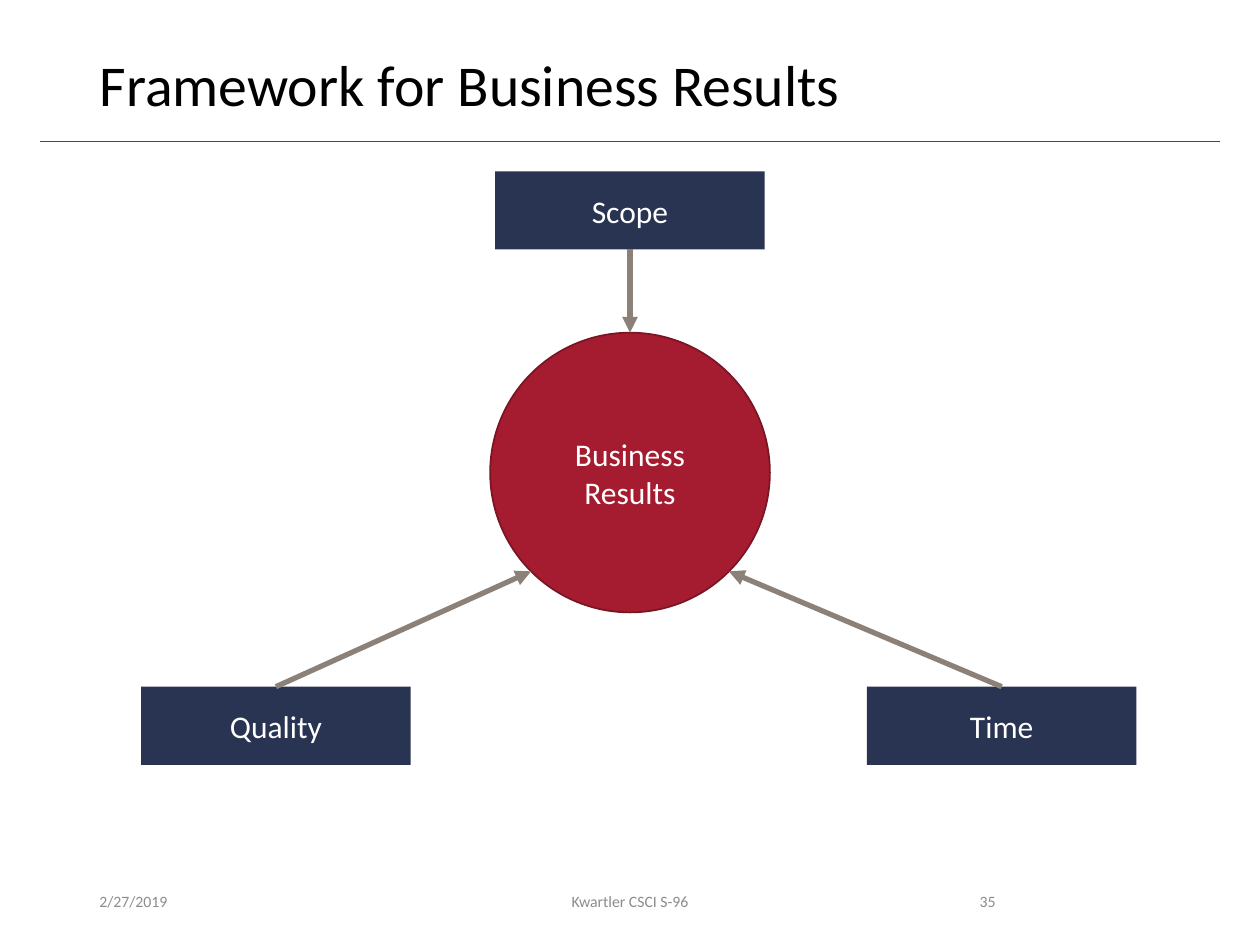
import math

from lxml import etree
from pptx import Presentation
from pptx.dml.color import RGBColor
from pptx.enum.shapes import MSO_CONNECTOR, MSO_SHAPE
from pptx.enum.text import MSO_ANCHOR, MSO_AUTO_SIZE, PP_ALIGN
from pptx.oxml.ns import qn
from pptx.util import Inches, Pt

RECT, OVAL = MSO_SHAPE.RECTANGLE, MSO_SHAPE.OVAL
STRAIGHT = MSO_CONNECTOR.STRAIGHT
TOP, MIDDLE = MSO_ANCHOR.TOP, MSO_ANCHOR.MIDDLE
LEFT, CENTER, RIGHT = PP_ALIGN.LEFT, PP_ALIGN.CENTER, PP_ALIGN.RIGHT
NO_FIT = MSO_AUTO_SIZE.NONE

CRIMSON = RGBColor(0xA5, 0x1C, 0x30)
DARK_CRIMSON = RGBColor(0x7A, 0x15, 0x24)
NAVY = RGBColor(0x29, 0x33, 0x52)
TAUPE = RGBColor(0x8C, 0x81, 0x79)
GREY = RGBColor(0x8C, 0x8C, 0x8C)
BLACK = RGBColor(0x00, 0x00, 0x00)
WHITE = RGBColor(0xFF, 0xFF, 0xFF)

W, H = 10, 7.5
MID = W / 2
MARGIN = 0.69
BOX_W, BOX_H = 2.14, 0.62
HUB_Y, HUB_R = 3.75, 1.11
FOOT_Y, FOOT_H = 6.95, 0.4

TITLE_FONT = {"name": "Calibri", "size": Pt(33)}
LABEL_FONT = {"name": "Calibri", "size": Pt(18)}
FOOT_FONT = {"name": "Calibri", "size": Pt(9)}


def write(sp, text, fmt, color, align, anchor):
    tf = sp.text_frame
    tf.word_wrap = True
    tf.auto_size = NO_FIT
    tf.vertical_anchor = anchor
    p = tf.paragraphs[0]
    p.alignment = align
    r = p.add_run()
    r.text = text
    for key, value in fmt.items():
        setattr(r.font, key, value)
    r.font.color.rgb = color
    return p


def add_title(s, text):
    sp = s.shapes.title
    sp.left, sp.top = Inches(MARGIN), Inches(0.4)
    sp.width, sp.height = Inches(W - 2 * MARGIN), Inches(0.65)
    write(sp, text, TITLE_FONT, BLACK, LEFT, TOP).line_spacing = 0.9


def add_footer(s, text, x, w, align):
    sp = s.shapes.add_textbox(Inches(x), Inches(FOOT_Y), Inches(w), Inches(FOOT_H))
    write(sp, text, FOOT_FONT, GREY, align, MIDDLE)


def add_node(s, kind, text, cx, y, w, h, fill, outline=None):
    sp = s.shapes.add_shape(kind, Inches(cx - w / 2), Inches(y), Inches(w), Inches(h))
    sp.shadow.inherit = False
    sp.fill.solid()
    sp.fill.fore_color.rgb = fill
    if outline:
        sp.line.color.rgb = outline
        sp.line.width = Pt(1)
    else:
        sp.line.fill.background()
    write(sp, text, LABEL_FONT, WHITE, CENTER, MIDDLE)


def add_line(s, start, end, color, width, arrow=False):
    cx = s.shapes.add_connector(STRAIGHT, *map(Inches, start + end))
    cx.line.color.rgb = color
    cx.line.width = Pt(width)
    if arrow:
        etree.SubElement(cx.line._get_or_add_ln(), qn("a:tailEnd"), type="triangle")
    etree.SubElement(cx._element.spPr, qn("a:effectLst"))


def main():
    prs = Presentation()
    prs.slide_width, prs.slide_height = Inches(W), Inches(H)
    s = prs.slides.add_slide(prs.slide_layouts[5])

    add_line(s, (0.32, 1.12), (W - 0.32, 1.12), CRIMSON, 0.5)
    add_title(s, "Framework for Business Results")
    add_footer(s, "2/27/2019", MARGIN, 2.25, LEFT)
    add_footer(s, "Kwartler CSCI S-96", 3.31, 3.38, CENTER)
    add_footer(s, "35", 7.06, 0.94, RIGHT)

    add_node(s, OVAL, "Business Results", MID, HUB_Y - HUB_R,
             2 * HUB_R, 2 * HUB_R, CRIMSON, DARK_CRIMSON)
    drivers = [
        ("Scope", MID, 1.36, BOX_H, -90),
        ("Quality", 2.19, 5.45, 0, 135),
        ("Time", 7.95, 5.45, 0, 45),
    ]
    for text, cx, y, _, _ in drivers:
        add_node(s, RECT, text, cx, y, BOX_W, BOX_H, NAVY)
    for _, cx, y, exit_y, degrees in drivers:
        angle = math.radians(degrees)
        end = (MID + HUB_R * math.cos(angle), HUB_Y + HUB_R * math.sin(angle))
        add_line(s, (cx, y + exit_y), end, TAUPE, 3, arrow=True)

    prs.save("out.pptx")


if __name__ == "__main__":
    main()
